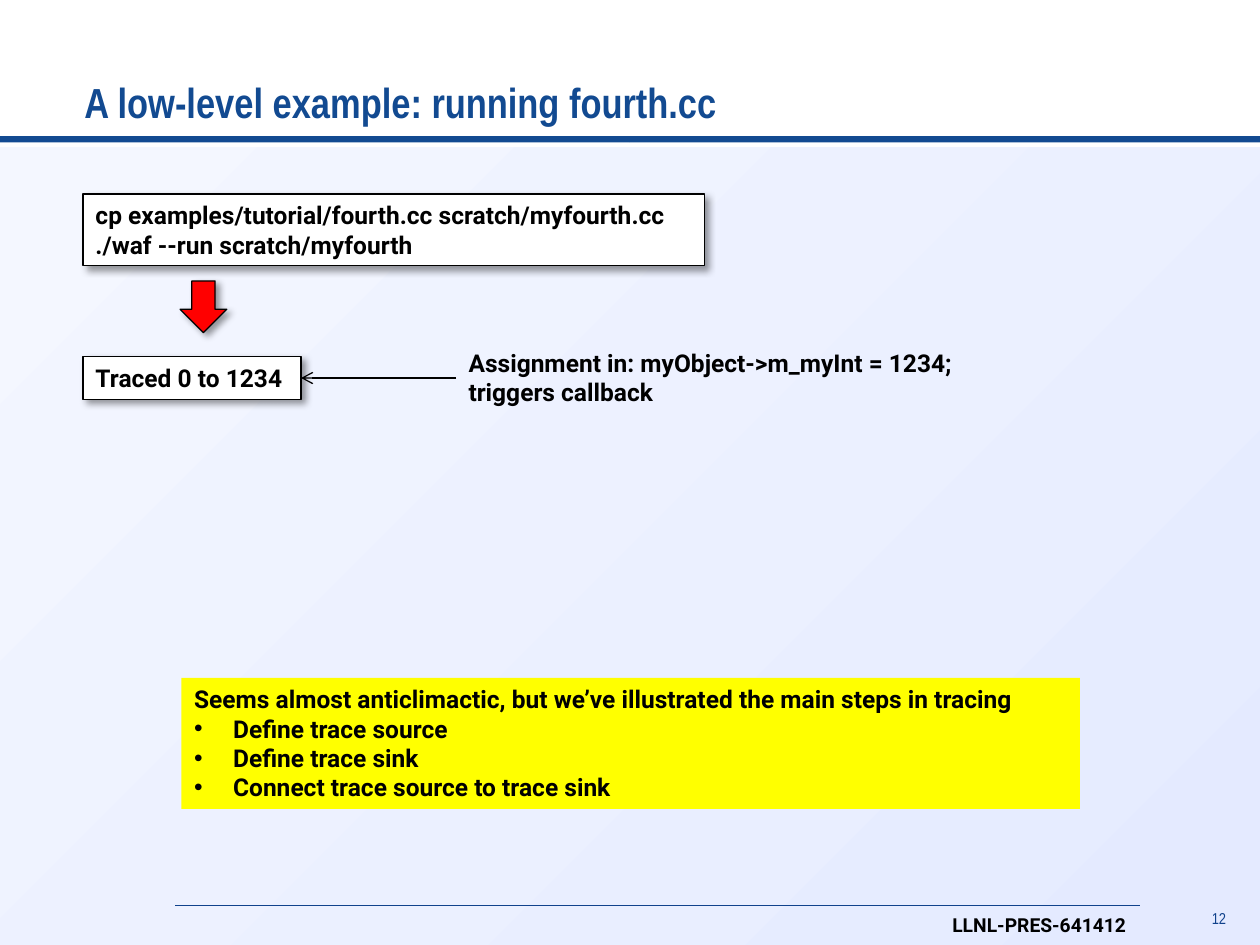
import pptx
import pptx.dml.color
import pptx.enum.shapes
import pptx.enum.text
import pptx.oxml
import pptx.oxml.ns
import pptx.util
from dataclasses import dataclass
from typing import Optional

Inches, Pt = pptx.util.Inches, pptx.util.Pt
MSO_SHAPE = pptx.enum.shapes.MSO_SHAPE
PP_ALIGN = pptx.enum.text.PP_ALIGN
MSO_ANCHOR = pptx.enum.text.MSO_ANCHOR
NS = pptx.oxml.ns.nsdecls("a")


@dataclass(frozen=True)
class Theme:
    heading: str = "Arial Narrow"
    body: str = "Roboto"
    title_size: float = 24
    body_size: float = 14
    footer_size: float = 11
    number_size: float = 9
    blue: str = "124A91"
    footer_blue: str = "10428C"
    black: str = "000000"
    white: str = "FFFFFF"
    red: str = "FF0000"
    yellow: str = "FFFF00"
    pale: str = "F4F7FF"
    pale_end: str = "E4EAFF"


THEME = Theme()


@dataclass(frozen=True)
class Box:
    left: float
    top: float
    width: float
    height: float
    fill: Optional[str] = None
    outlined: bool = False
    kind: MSO_SHAPE = MSO_SHAPE.RECTANGLE


@dataclass(frozen=True)
class Style:
    size: float = THEME.body_size
    font: str = THEME.body
    color: str = THEME.black
    bold: bool = True
    align: PP_ALIGN = PP_ALIGN.LEFT
    anchor: MSO_ANCHOR = MSO_ANCHOR.TOP
    left_inset: float = 0.1
    spacing: float = 1.0


def rgb(color: str) -> pptx.dml.color.RGBColor:
    return pptx.dml.color.RGBColor.from_string(color)


def add_shadow(sp) -> None:
    sp._element.spPr.append(pptx.oxml.parse_xml(
        f'<a:effectLst {NS}><a:outerShdw blurRad="{Pt(4)}" dist="{Pt(3)}" '
        f'dir="2700000" algn="tl" rotWithShape="0"><a:srgbClr val="{THEME.black}">'
        '<a:alpha val="40000"/></a:srgbClr></a:outerShdw></a:effectLst>'))


def place(sp, box: Box) -> None:
    sp.left, sp.top = Inches(box.left), Inches(box.top)
    sp.width, sp.height = Inches(box.width), Inches(box.height)


def add_box(s, box: Box):
    sp = s.shapes.add_shape(box.kind, Inches(box.left), Inches(box.top),
                            Inches(box.width), Inches(box.height))
    if box.fill:
        sp.fill.solid()
        sp.fill.fore_color.rgb = rgb(box.fill)
    if box.outlined:
        sp.line.color.rgb = rgb(THEME.black)
        sp.line.width = Pt(0.75)
        add_shadow(sp)
    else:
        sp.line.fill.background()
        sp.shadow.inherit = False
    return sp


def add_label(s, box: Box):
    return s.shapes.add_textbox(Inches(box.left), Inches(box.top),
                                Inches(box.width), Inches(box.height))


def write(sp, lines: list[str], style: Style = Style()) -> None:
    tf = sp.text_frame
    tf.word_wrap = True
    tf.auto_size = pptx.enum.text.MSO_AUTO_SIZE.NONE
    tf.vertical_anchor = style.anchor
    tf.margin_left, tf.margin_right = Inches(style.left_inset), Inches(0.1)
    tf.margin_top = tf.margin_bottom = Inches(0.05)
    for i, line in enumerate(lines):
        p = tf.add_paragraph() if i else tf.paragraphs[0]
        p.alignment = style.align
        p.line_spacing = style.spacing
        p.space_before = Pt(0)
        r = p.add_run()
        r.text = line
        r.font.size, r.font.name = Pt(style.size), style.font
        r.font.bold = style.bold
        r.font.color.rgb = rgb(style.color)


def set_bullet(p, bulleted: bool) -> None:
    pPr = p._p.get_or_add_pPr()
    indent = Inches(0.31) if bulleted else 0
    pPr.set("marL", str(indent))
    pPr.set("indent", str(-indent))
    if bulleted:
        pPr.append(pptx.oxml.parse_xml(f'<a:buFont {NS} typeface="Arial"/>'))
        pPr.append(pptx.oxml.parse_xml(f'<a:buChar {NS} char="•"/>'))
    else:
        pPr.append(pptx.oxml.parse_xml(f"<a:buNone {NS}/>"))


def add_line(s, start: tuple[float, float], end: tuple[float, float],
             color: str, width: float, arrow: bool = False) -> None:
    line = s.shapes.add_connector(pptx.enum.shapes.MSO_CONNECTOR.STRAIGHT,
                                  *map(Inches, start + end))
    line.line.color.rgb = rgb(color)
    line.line.width = Pt(width)
    if arrow:
        line.line._get_or_add_ln().append(
            pptx.oxml.parse_xml(f'<a:tailEnd {NS} type="arrow"/>'))
    line._element.spPr.append(pptx.oxml.parse_xml(f"<a:effectLst {NS}/>"))


def add_frame(s) -> None:
    # Shaded backdrop, behind the placeholders
    backdrop = add_box(s, Box(0, 1.17, 10, 6.33))
    backdrop.fill.gradient()
    backdrop.fill.gradient_angle = 315
    for stop, color in zip(backdrop.fill.gradient_stops, (THEME.pale, THEME.pale_end)):
        stop.color.rgb = rgb(color)
    s.shapes._spTree.insert(2, backdrop._element)

    # Title rule in two halves
    for left in (0, 5):
        add_box(s, Box(left, 1.08, 5, 0.05, THEME.blue))

    # Footer
    add_line(s, (1.39, 7.19), (9.05, 7.19), THEME.footer_blue, 0.5)
    write(add_label(s, Box(9.49, 7.2, 0.34, 0.22)), ["12"],
          Style(THEME.number_size, THEME.heading, THEME.footer_blue, bold=False,
                align=PP_ALIGN.RIGHT, left_inset=0, spacing=0.75))
    write(add_label(s, Box(7.46, 7.2, 1.63, 0.29)), ["LLNL-PRES-641412"],
          Style(THEME.footer_size))


def main() -> None:
    prs = pptx.Presentation()
    prs.slide_width, prs.slide_height = Inches(10), Inches(7.5)
    s = prs.slides.add_slide(prs.slide_layouts[1])
    add_frame(s)

    # Title
    title = s.shapes.title
    place(title, Box(0.67, 0.17, 8.69, 0.89))
    write(title, ["A low-level example: running fourth.cc"],
          Style(THEME.title_size, THEME.heading, THEME.blue,
                anchor=MSO_ANCHOR.BOTTOM, left_inset=0))

    # Commands, and the output they lead to
    write(add_box(s, Box(0.66, 1.54, 4.93, 0.57, THEME.white, True)),
          ["cp examples/tutorial/fourth.cc scratch/myfourth.cc",
           "./waf --run scratch/myfourth"])
    write(add_box(s, Box(0.66, 2.83, 1.73, 0.34, THEME.white, True)),
          ["Traced 0 to 1234"])
    add_box(s, Box(1.43, 2.23, 0.37, 0.41, THEME.red, True, MSO_SHAPE.DOWN_ARROW))

    # Summary list
    summary = s.placeholders[1]
    place(summary, Box(1.44, 5.38, 7.13, 1.04))
    summary.fill.solid()
    summary.fill.fore_color.rgb = rgb(THEME.yellow)
    write(summary, [
        "Seems almost anticlimactic, but we’ve illustrated the main steps in tracing",
        "Define trace source", "Define trace sink",
        "Connect trace source to trace sink"])
    for i, p in enumerate(summary.text_frame.paragraphs):
        set_bullet(p, bulleted=i > 0)

    # Callout pointing at the output
    write(add_label(s, Box(3.62, 2.71, 4.28, 0.57)),
          ["Assignment in: myObject->m_myInt = 1234;", "triggers callback"])
    add_line(s, (3.62, 3), (2.39, 3), THEME.black, 0.75, arrow=True)

    prs.save("out.pptx")


if __name__ == "__main__":
    main()
